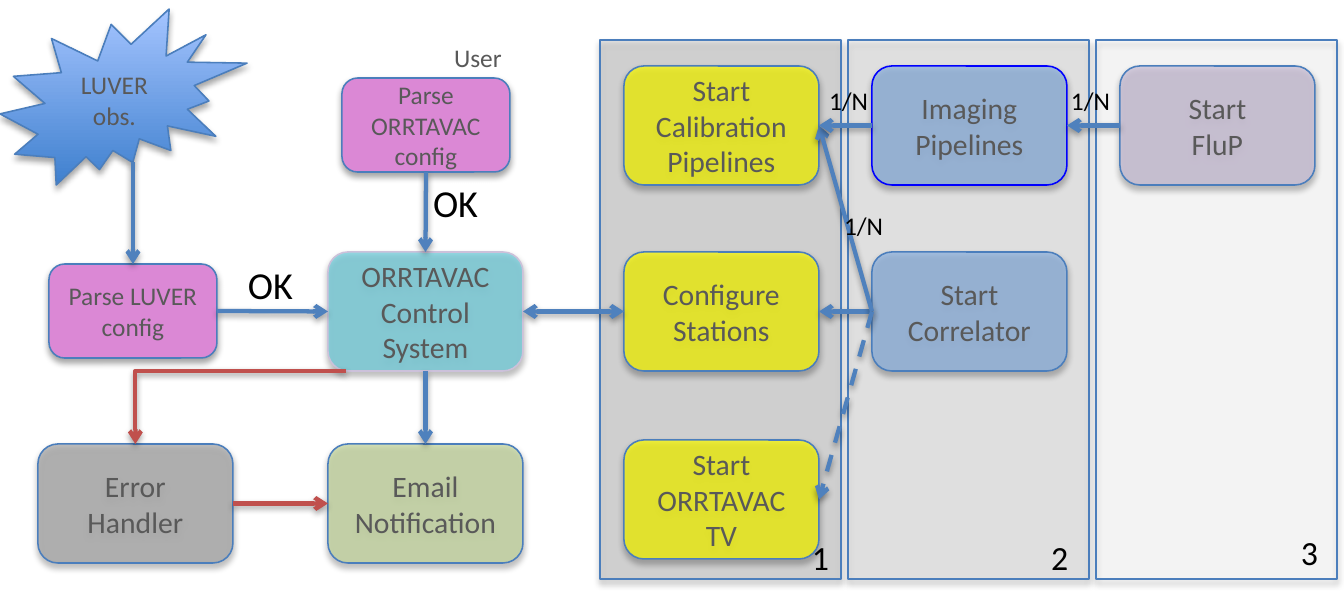
from dataclasses import dataclass

from lxml import etree
from pptx import Presentation
from pptx import util as u
from pptx.dml.color import RGBColor
from pptx.enum import dml, shapes, text
from pptx.oxml.ns import qn

PX = 6000  # EMU
SLIDE = (1344, 600)


@dataclass(frozen=True)
class Theme:
    font: str = "Calibri"
    ink: str = "595959"
    black: str = "000000"
    edge: str = "4B7EBC"
    flow: str = "4F81BD"
    error: str = "C0504D"
    pink: str = "DB88D5"
    yellow: str = "FFFF00"
    teal: str = "6BCBDA"
    green: str = "C3D69B"
    grey: str = "A6A6A6"
    blue: str = "8EB4E3"
    lilac: str = "CCC1DA"
    focus: str = "0000FF"
    burst: tuple = ("3F80CE", "A4C4FF")
    small: int = 12
    body: int = 14
    number: int = 16
    ok: int = 18
    edge_width: float = 0.75
    flow_width: float = 2


T = Theme()

# Stage columns: fill, opacity in percent
STAGES = [("BFBFBF", 41), ("D9D9D9", 32), ("FFFFFF", 15)]
STAGE_LEFT, STAGE_TOP, STAGE_STEP = 600, 40, 248
STAGE_SIZE = (241, 539)
STAGE_INSET = 24
BOX_SIZE, PARSE_SIZE = (195, 119), (168, 94)
ROWS = (66, 252, 440)
CONTROL_LEFT, ERROR_LEFT, REPORT_TOP = 328, 38, 444
BURST = (0, 9, 247, 176)

# Boxes inside the stages: key, stage, row, words, fill, edge
STAGE_BOXES = [
    ("calibration", 0, 0, "Start\nCalibration\nPipelines", T.yellow, T.edge),
    ("stations", 0, 1, "Configure\nStations", T.yellow, T.edge),
    ("tv", 0, 2, "Start\nORRTAVAC TV", T.yellow, T.edge),
    ("imaging", 1, 0, "Imaging\nPipelines", T.blue, T.focus),
    ("correlator", 1, 1, "Start\nCorrelator", T.blue, T.edge),
    ("flup", 2, 0, "Start\nFluP", T.lilac, T.edge),
]
# Boxes left of the stages: key, left, top, words, fill, edge
CONTROL_BOXES = [
    ("control", CONTROL_LEFT, ROWS[1], "ORRTAVAC Control System", T.teal, T.lilac),
    ("email", CONTROL_LEFT, REPORT_TOP, "Email\nNotification", T.green, T.edge),
    ("error", ERROR_LEFT, REPORT_TOP, "Error\nHandler", T.grey, T.edge),
]
PARSE_BOXES = [
    ("user_config", 342, 78, "Parse ORRTAVAC config"),
    ("luver_config", 49, 264, "Parse LUVER config"),
]
TOP, LEFT, BOTTOM, RIGHT = range(4)
# Arrows: from, side, to, side, format
ARROWS = [
    ("correlator", LEFT, "stations", RIGHT, {}),
    ("correlator", LEFT, "calibration", RIGHT, {}),
    ("correlator", LEFT, "tv", RIGHT, {"dashed": True}),
    ("imaging", LEFT, "calibration", RIGHT, {}),
    ("flup", LEFT, "imaging", RIGHT, {}),
    ("error", RIGHT, "email", LEFT, {"color": T.error}),
    ("control", BOTTOM, "email", TOP, {}),
    ("control", RIGHT, "stations", LEFT, {"both": True}),
    ("user_config", BOTTOM, "control", TOP, {}),
    ("luver_config", RIGHT, "control", LEFT, {}),
]
BURST_EXIT = (133, 162)
ERROR_EXIT = (346, 371)

# Labels: words, left, top, width, height, size, colour
LABELS = [
    ("1", 797, 529, 53, 59, T.number, T.black),
    ("2", 1036, 529, 53, 59, T.number, T.black),
    ("3", 1286, 524, 53, 59, T.number, T.black),
    ("OK", 233, 254, 85, 64, T.ok, T.black),
    ("OK", 418, 172, 85, 64, T.ok, T.black),
    ("1/N", 1056, 78, 70, 46, T.small, T.black),
    ("1/N", 814, 78, 70, 46, T.small, T.black),
    ("1/N", 829, 203, 70, 46, T.small, T.black),
    ("User", 439, 35, 79, 46, T.small, T.ink),
]

prs = Presentation()
prs.slide_width, prs.slide_height = (side * PX for side in SLIDE)
canvas = prs.slides.add_slide(prs.slide_layouts[6]).shapes


def emu(*lengths):
    return [round(length * PX) for length in lengths]


def set_opacity(color, percent):
    etree.SubElement(color, qn("a:alpha"), val=str(percent * 1000))


def cast_shadow(effects, opacity, distance):
    shadow = etree.SubElement(
        effects, qn("a:outerShdw"), blurRad=str(u.Pt(3.1)),
        dist=str(u.Pt(distance)), dir="5400000", rotWithShape="0")
    set_opacity(etree.SubElement(shadow, qn("a:srgbClr"), val=T.black), opacity)


def write(frame, words, size=T.body, color=T.ink, align=text.PP_ALIGN.CENTER):
    frame.text = words
    for paragraph in frame.paragraphs:
        paragraph.alignment = align
        paragraph.font.name = T.font
        paragraph.font.size = u.Pt(size)
        paragraph.font.color.rgb = RGBColor.from_string(color)


def add_block(kind, bounds, fill, edge=T.edge, opacity=100, words="", size=T.body):
    """Add a shadowed shape; a pair of fills makes a gradient from bottom to top."""
    block = canvas.add_shape(kind, *emu(*bounds))
    if isinstance(fill, tuple):
        block.fill.gradient()
        block.fill.gradient_angle = 90
        for stop, shade in zip(block.fill.gradient_stops, fill):
            stop.color.rgb = RGBColor.from_string(shade)
    else:
        block.fill.solid()
        block.fill.fore_color.rgb = RGBColor.from_string(fill)
        if opacity < 100:
            set_opacity(block.element.spPr.find(".//" + qn("a:srgbClr")), opacity)
    block.line.color.rgb = RGBColor.from_string(edge)
    block.line.width = u.Pt(T.edge_width)
    block.shadow.inherit = False
    cast_shadow(block.element.spPr.find(qn("a:effectLst")), 35, 1.8)
    if words:
        block.text_frame.word_wrap = True
        block.text_frame.vertical_anchor = text.MSO_ANCHOR.MIDDLE
        write(block.text_frame, words, size=size)
    return block


def add_arrow(begin=(0, 0), end=(0, 0), kind=shapes.MSO_CONNECTOR.STRAIGHT,
              color=T.flow, dashed=False, both=False):
    arrow = canvas.add_connector(kind, *emu(*begin, *end))
    arrow.line.color.rgb = RGBColor.from_string(color)
    arrow.line.width = u.Pt(T.flow_width)
    if dashed:
        arrow.line.dash_style = dml.MSO_LINE.DASH
    outline = arrow.element.spPr.find(qn("a:ln"))
    for tip in ("a:headEnd", "a:tailEnd") if both else ("a:tailEnd",):
        etree.SubElement(outline, qn(tip), type="arrow")
    cast_shadow(etree.SubElement(arrow.element.spPr, qn("a:effectLst")), 38, 1.6)
    return arrow


def main():
    rounded = shapes.MSO_SHAPE.ROUNDED_RECTANGLE
    stage_lefts = [STAGE_LEFT + i * STAGE_STEP for i in range(len(STAGES))]
    for left, (fill, opacity) in zip(stage_lefts, STAGES):
        add_block(shapes.MSO_SHAPE.RECTANGLE, (left, STAGE_TOP, *STAGE_SIZE),
                  fill, opacity=opacity)

    placed = [(key, stage_lefts[stage] + STAGE_INSET, ROWS[row], *rest)
              for key, stage, row, *rest in STAGE_BOXES]
    boxes = {}
    for key, left, top, words, fill, edge in placed + CONTROL_BOXES:
        boxes[key] = add_block(rounded, (left, top, *BOX_SIZE), fill, edge=edge,
                               opacity=70, words=words)
    for key, left, top, words in PARSE_BOXES:
        boxes[key] = add_block(rounded, (left, top, *PARSE_SIZE), T.pink,
                               words=words, size=T.small)
    add_block(shapes.MSO_SHAPE.EXPLOSION2, BURST, T.burst,
              words="LUVER obs.", size=T.small)

    for source, exit_side, target, entry_side, style in ARROWS:
        arrow = add_arrow(**style)
        arrow.begin_connect(boxes[source], exit_side)
        arrow.end_connect(boxes[target], entry_side)
    add_arrow(BURST_EXIT, BURST_EXIT).end_connect(boxes["luver_config"], TOP)
    failure = add_arrow(ERROR_EXIT, (ERROR_LEFT + BOX_SIZE[0] / 2, REPORT_TOP),
                        kind=shapes.MSO_CONNECTOR.ELBOW, color=T.error)
    failure.element.spPr.find(qn("a:prstGeom")).set("prst", "bentConnector2")

    for words, left, top, width, height, size, color in LABELS:
        frame = canvas.add_textbox(*emu(left, top, width, height)).text_frame
        frame.word_wrap = False
        frame.auto_size = text.MSO_AUTO_SIZE.SHAPE_TO_FIT_TEXT
        write(frame, words, size=size, color=color, align=text.PP_ALIGN.LEFT)

    prs.save("out.pptx")


if __name__ == "__main__":
    main()
